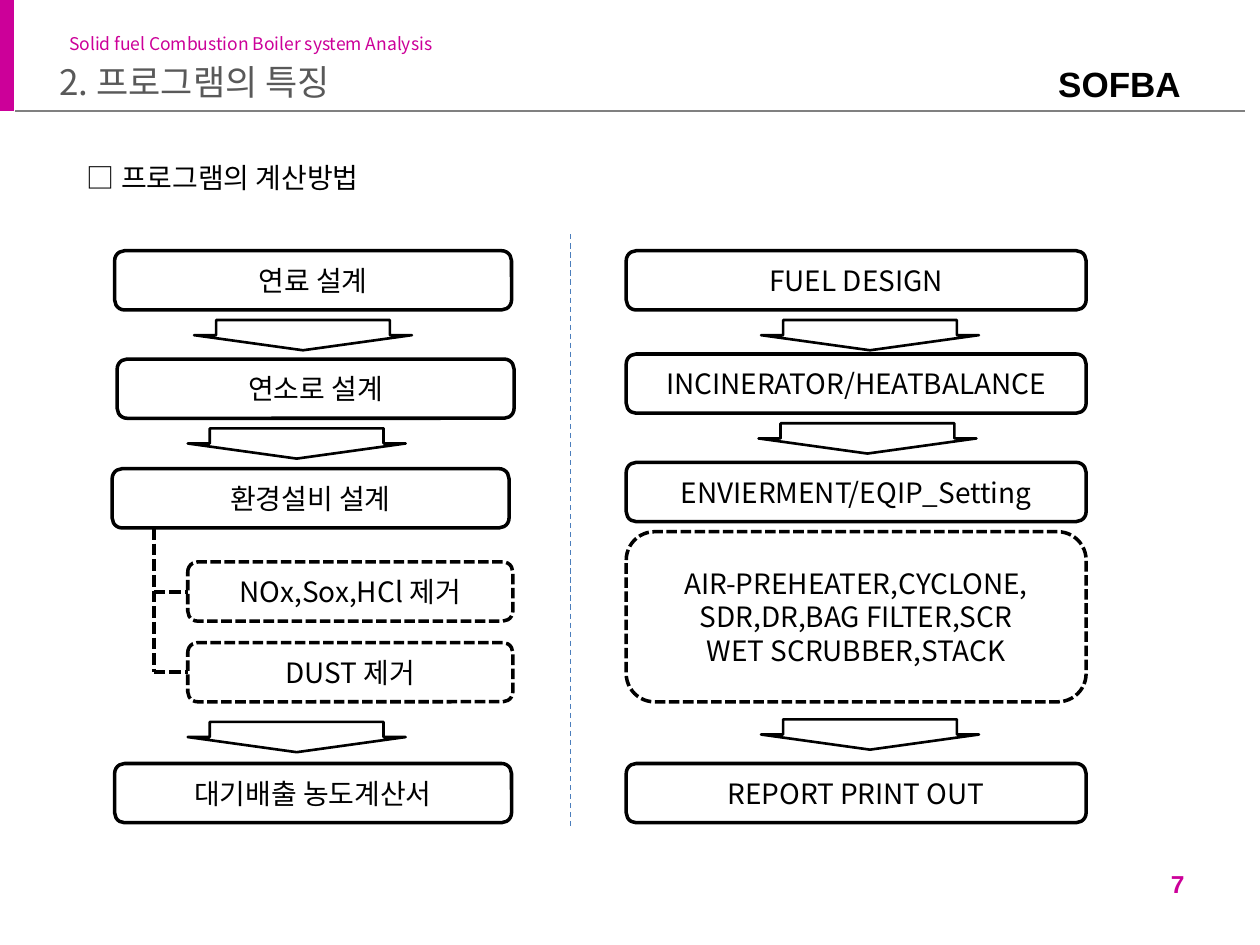
from lxml.etree import SubElement
from pptx import Presentation
from pptx.dml.color import RGBColor
from pptx.enum.dml import MSO_LINE
from pptx.enum.shapes import MSO_CONNECTOR, MSO_SHAPE
from pptx.enum.text import MSO_ANCHOR, MSO_AUTO_SIZE, PP_ALIGN
from pptx.oxml.ns import qn
from pptx.util import Inches, Pt

COLORS = {"accent": "CC0099", "black": "000000", "white": "FFFFFF",
          "title": "595959", "rule": "808080", "divider": "4B7EBC"}
KOREAN, LATIN = "Noto Sans CJK KR", "Arial"
WIDTH, HEIGHT = Inches(10), Inches(7.5)
COLS, ROWS = 100, 75          # grid cells across and down the slide
BOX_H = 4.7                   # height of a step box, in rows
ARROW_W, ARROW_H = 17.3, 2.4


def col(n):
    return round(WIDTH * n / COLS)


def row(n):
    return round(HEIGHT * n / ROWS)


def area(x, y, w, h):
    return col(x), row(y), col(w), row(h)


def rgb(name):
    return RGBColor.from_string(COLORS[name])


def write(tf, text, size, color="black", font=KOREAN, bold=False,
          align=PP_ALIGN.LEFT, spacing=None):
    tf.text = text
    for p in tf.paragraphs:
        p.alignment = align
        p.space_before = Pt(0)
        if spacing:
            p.line_spacing = spacing
        for r in p.runs:
            r.font.size = Pt(size)
            r.font.bold = bold
            r.font.color.rgb = rgb(color)
            r.font.name = font
            SubElement(r.font._element, qn("a:ea")).set("typeface", font)


def add_label(s, place, text, size, wrap=True, **style):
    tf = s.shapes.add_textbox(*area(*place)).text_frame
    tf.word_wrap = wrap
    write(tf, text, size, **style)


def fill_placeholder(sp, place, text, size, color):
    sp.left, sp.top, sp.width, sp.height = area(*place)
    tf = sp.text_frame
    tf.auto_size = MSO_AUTO_SIZE.NONE
    tf.vertical_anchor = MSO_ANCHOR.TOP
    write(tf, text, size, color)
    # no bullet and no hanging indent
    pPr = tf.paragraphs[0]._p.get_or_add_pPr()
    pPr.set("marL", "0")
    pPr.set("indent", "0")
    SubElement(pPr, qn("a:buNone"))


def add_shape(s, kind, place, fill="white", line=None, dash=None):
    sp = s.shapes.add_shape(kind, *area(*place))
    sp.shadow.inherit = False
    sp.fill.solid()
    sp.fill.fore_color.rgb = rgb(fill)
    if line:
        sp.line.color.rgb = rgb("black")
        sp.line.width = Pt(line)
        sp.line.dash_style = dash
    else:
        sp.line.fill.background()
    return sp


def add_box(s, x, y, w, text, h=BOX_H, dash=None):
    sp = add_shape(s, MSO_SHAPE.ROUNDED_RECTANGLE, (x, y, w, h), line=2, dash=dash)
    sp.text_frame.word_wrap = True
    sp.text_frame.vertical_anchor = MSO_ANCHOR.MIDDLE
    write(sp.text_frame, text, 16, align=PP_ALIGN.CENTER,
          spacing=Pt(19) if "\n" in text else None)


def add_arrow(s, x, y):
    sp = add_shape(s, MSO_SHAPE.DOWN_ARROW, (x, y, ARROW_W, ARROW_H), line=1.5)
    sp.adjustments[0], sp.adjustments[1] = 0.797, 0.5


def add_line(s, x1, y1, x2, y2, color, width, dash=None):
    ln = s.shapes.add_connector(MSO_CONNECTOR.STRAIGHT,
                                col(x1), row(y1), col(x2), row(y2))
    ln.line.color.rgb = rgb(color)
    ln.line.width = Pt(width)
    ln.line.dash_style = dash
    SubElement(ln._element.spPr, qn("a:effectLst"))


def add_header(s):
    add_label(s, (83, 4.5, 15.6, 4.4), "SOFBA", 20, font=LATIN, bold=True)
    add_line(s, 1.2, 8.8, 98.8, 8.8, "rule", 1.5)
    add_shape(s, MSO_SHAPE.RECTANGLE, (-0.3, 0, 1.4, 8.8), fill="accent")
    add_label(s, (4.5, 2.1, 36.9, 2.7),
              "Solid fuel Combustion Boiler system Analysis", 10,
              wrap=False, color="accent")
    add_label(s, (86.7, 68.5, 8.3, 4), "7", 14, color="accent", font=LATIN,
              bold=True, align=PP_ALIGN.RIGHT)


def add_korean_flow(s):
    for x, y, text in [(9.1, 19.9, "연료 설계"), (9.3, 28.5, "연소로 설계"),
                       (8.9, 37.2, "환경설비 설계"),
                       (9.1, 60.6, "대기배출 농도계산서")]:
        add_box(s, x, y, 31.5, text)
    for x, y in [(15.4, 25.4), (14.9, 34), (14.9, 57.3)]:
        add_arrow(s, x, y)
    # removal steps hanging from a dashed branch
    dash, trunk, left = MSO_LINE.SQUARE_DOT, 12.2, 14.9
    add_line(s, trunk, 41.9, trunk, 53.3, "black", 2.25, dash)
    for y, text in [(44.6, "NOx,Sox,HCl 제거"), (51, "DUST 제거")]:
        add_box(s, left, y, 25.8, text, dash=dash)
        middle = y + BOX_H / 2
        add_line(s, trunk, middle, left, middle, "black", 2.25, dash)


def add_english_flow(s):
    left, width = 49.7, 36.5
    for y, text in [(19.9, "FUEL DESIGN"), (28.1, "INCINERATOR/HEATBALANCE"),
                    (36.7, "ENVIERMENT/EQIP_Setting"),
                    (60.6, "REPORT PRINT OUT")]:
        add_box(s, left, y, width, text)
    add_box(s, left, 42.2, width,
            "AIR-PREHEATER,CYCLONE,\nSDR,DR,BAG FILTER,SCR\nWET SCRUBBER,STACK",
            h=13.5, dash=MSO_LINE.SQUARE_DOT)
    for x, y in [(60.4, 25.4), (60.2, 33.6), (60.4, 57.1)]:
        add_arrow(s, x, y)


def main():
    prs = Presentation()
    prs.slide_width, prs.slide_height = WIDTH, HEIGHT
    s = prs.slides.add_slide(prs.slide_layouts[1])

    # Header, title and subtitle
    add_header(s)
    fill_placeholder(s.shapes.title, (3.7, 4.3, 74, 4.7),
                     "2. 프로그램의 특징", 20, "title")
    fill_placeholder(s.placeholders[1], (5.9, 12.2, 57.5, 4.7),
                     "□ 프로그램의 계산방법", 16, "black")

    # Two flows on either side of the divider
    add_line(s, 45.3, 18.6, 45.3, 65.8, "divider", 0.75, MSO_LINE.DASH)
    add_korean_flow(s)
    add_english_flow(s)
    prs.save("out.pptx")


if __name__ == "__main__":
    main()
